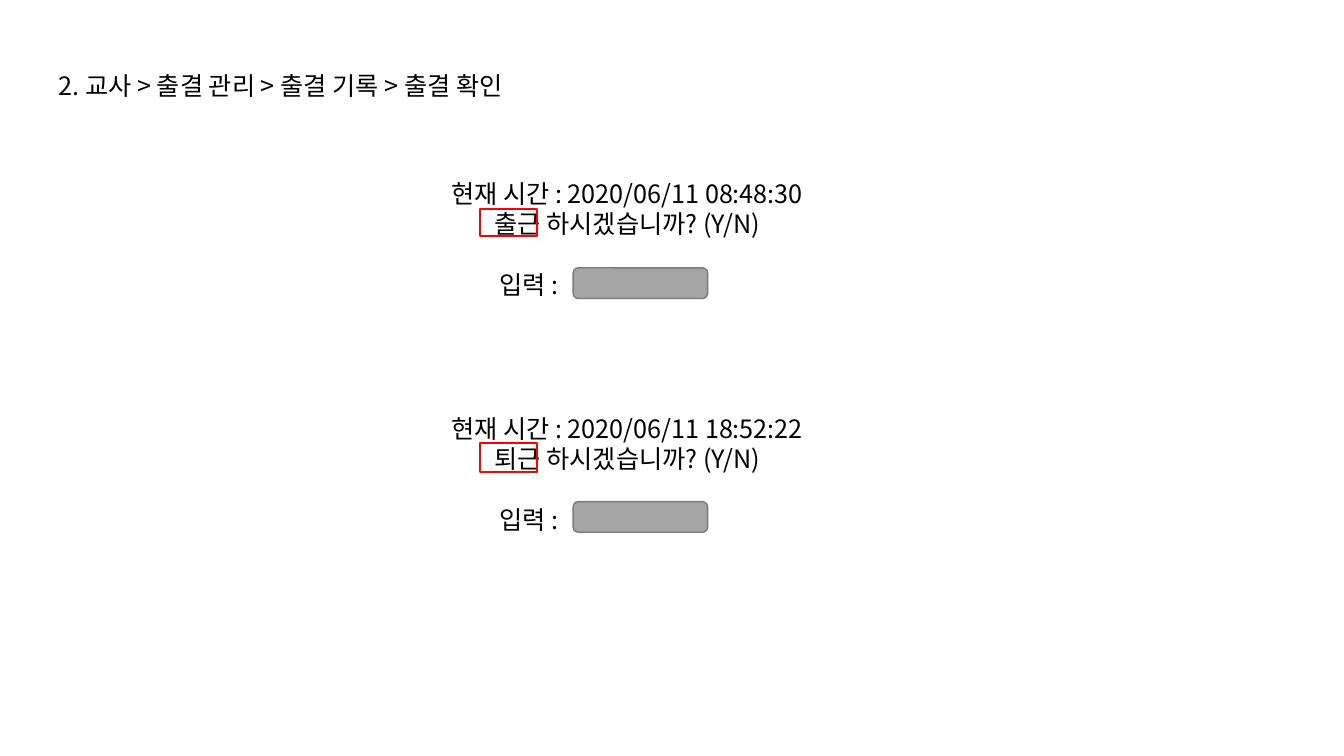
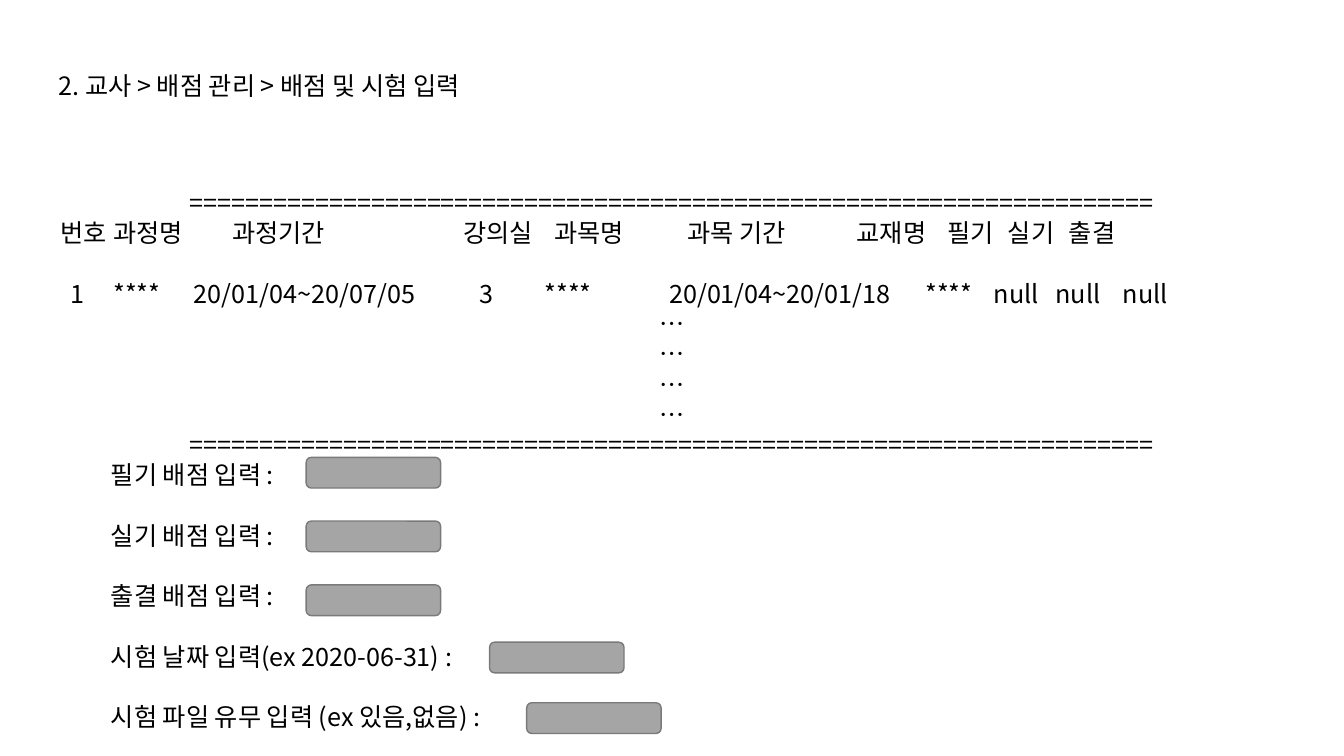
from lxml.etree import SubElement
from pptx import Presentation
from pptx.dml.color import RGBColor
from pptx.enum.shapes import MSO_SHAPE
from pptx.enum.text import PP_ALIGN
from pptx.oxml.ns import qn
from pptx.util import Pt

SLIDE_WIDTH, SLIDE_HEIGHT = 960, 540
LINE_HEIGHT = 21.6


def color(hex_string):
    return RGBColor.from_string(hex_string)


class Deck:
    """Holds the shared style and the slide being filled."""

    FONT = "Noto Sans CJK KR"
    SIZE = 18
    TEXT = "000000"
    INPUT_FILL, INPUT_LINE = "A5A5A5", "7A7A7A"
    MARK_LINE = "FF0000"

    def __init__(self):
        self.presentation = Presentation()
        self.presentation.slide_width = Pt(SLIDE_WIDTH)
        self.presentation.slide_height = Pt(SLIDE_HEIGHT)
        self.slide = None

    def add_slide(self, title):
        blank = self.presentation.slide_layouts[6]
        self.slide = self.presentation.slides.add_slide(blank)
        self.paragraph(self.text_box(41.8, 50.4, 600, LINE_HEIGHT), title)

    def text_box(self, left, top, width, height):
        frame = self.slide.shapes.add_textbox(
            Pt(left), Pt(top), Pt(width), Pt(height)).text_frame
        frame.word_wrap = True
        frame.margin_left = frame.margin_right = Pt(0)
        frame.margin_top = frame.margin_bottom = Pt(0)
        return frame

    def paragraph(self, frame, text, align=PP_ALIGN.LEFT, before=0):
        first = frame.paragraphs[0]
        paragraph = frame.add_paragraph() if first.runs else first
        paragraph.alignment = align
        paragraph.line_spacing = Pt(LINE_HEIGHT)
        paragraph.space_before = Pt(before)
        run = paragraph.add_run()
        run.text = text
        run.font.name = self.FONT
        run.font.size = Pt(self.SIZE)
        run.font.color.rgb = color(self.TEXT)
        SubElement(run.font._element, qn("a:ea"), typeface=self.FONT)
        return paragraph

    def tabbed_row(self, frame, cells, before=0):
        """Adds one line whose (left, text) cells each start at a tab stop."""
        text = "".join("\t" + label for _, label in cells)
        paragraph = self.paragraph(frame, text, before=before)
        stops = SubElement(paragraph._p.get_or_add_pPr(), qn("a:tabLst"))
        for left, _ in cells:
            SubElement(stops, qn("a:tab"), pos=str(Pt(left)), algn="l")

    def box(self, preset, left, top, width, height, line, weight, fill=None):
        shape = self.slide.shapes.add_shape(
            preset, Pt(left), Pt(top), Pt(width), Pt(height))
        shape.shadow.inherit = False
        shape.line.color.rgb = color(line)
        shape.line.width = Pt(weight)
        if fill:
            shape.fill.solid()
            shape.fill.fore_color.rgb = color(fill)
        else:
            shape.fill.background()

    def input_field(self, label, left, top, input_left, input_top):
        frame = self.text_box(left, top, 400, LINE_HEIGHT)
        self.paragraph(frame, label)
        self.box(MSO_SHAPE.ROUNDED_RECTANGLE, input_left, input_top, 96, 21.9,
                 self.INPUT_LINE, 1, self.INPUT_FILL)

    def prompt(self, top, time, action, mark_top, mark_height, input_top):
        """Asks to confirm an action, which is marked by a red frame."""
        frame = self.text_box(134, top, 628, 2 * LINE_HEIGHT)
        for text in (f"현재 시간 : {time}", f"{action} 하시겠습니까? (Y/N)"):
            self.paragraph(frame, text, PP_ALIGN.CENTER)
        self.input_field("입력 :", 357, top + 3 * LINE_HEIGHT, 409.4, input_top)
        self.box(MSO_SHAPE.RECTANGLE, 343.2, mark_top, 40.6, mark_height,
                 self.MARK_LINE, 1.5)


def add_attendance_slide(deck):
    deck.add_slide("2. 교사 > 출결 관리 > 출결 기록 > 출결 확인")
    deck.prompt(127.4, "2020/06/11 08:48:30", "출근", 149, 19.6, 191.3)
    deck.prompt(295.2, "2020/06/11 18:52:22", "퇴근", 316.3, 20.9, 358.3)


def add_score_slide(deck):
    deck.add_slide("2. 교사 > 배점 관리 > 배점 및 시험 입력")
    header = [(43, "번호"), (81, "과정명"), (166, "과정기간"), (331, "강의실"),
              (396, "과목명"), (491, "과목 기간"), (612, "교재명"),
              (677, "필기"), (720, "실기"), (763.5, "출결")]
    course = [(50, "1"), (81, "****"), (138.5, "20/01/04~20/07/05"),
              (342.5, "3"), (389, "****"), (478, "20/01/04~20/01/18"),
              (661, "****"), (710, "null"), (754, "null"), (802, "null")]
    rule = "=" * 69

    top = 133.9
    listing = deck.text_box(0, top, SLIDE_WIDTH, 9 * LINE_HEIGHT)
    deck.paragraph(listing, rule, PP_ALIGN.CENTER)
    deck.tabbed_row(listing, header)
    deck.tabbed_row(listing, course, before=LINE_HEIGHT)
    for text in ["…"] * 4 + [rule]:
        deck.paragraph(listing, text, PP_ALIGN.CENTER)

    fields = [("필기 배점 입력 :", 218.7, 326.7),
              ("실기 배점 입력 :", 218.7, 372.2),
              ("출결 배점 입력 :", 218.7, 417.8),
              ("시험 날짜 입력(ex 2020-06-31) :", 349.7, 458.7),
              ("시험 파일 유무 입력 (ex 있음,없음) :", 376.2, 502)]
    for index, (label, input_left, input_top) in enumerate(fields):
        label_top = top + (9 + 2 * index) * LINE_HEIGHT
        deck.input_field(label, 79.2, label_top, input_left, input_top)


def main():
    deck = Deck()
    add_attendance_slide(deck)
    add_score_slide(deck)
    deck.presentation.save("out.pptx")


if __name__ == "__main__":
    main()
